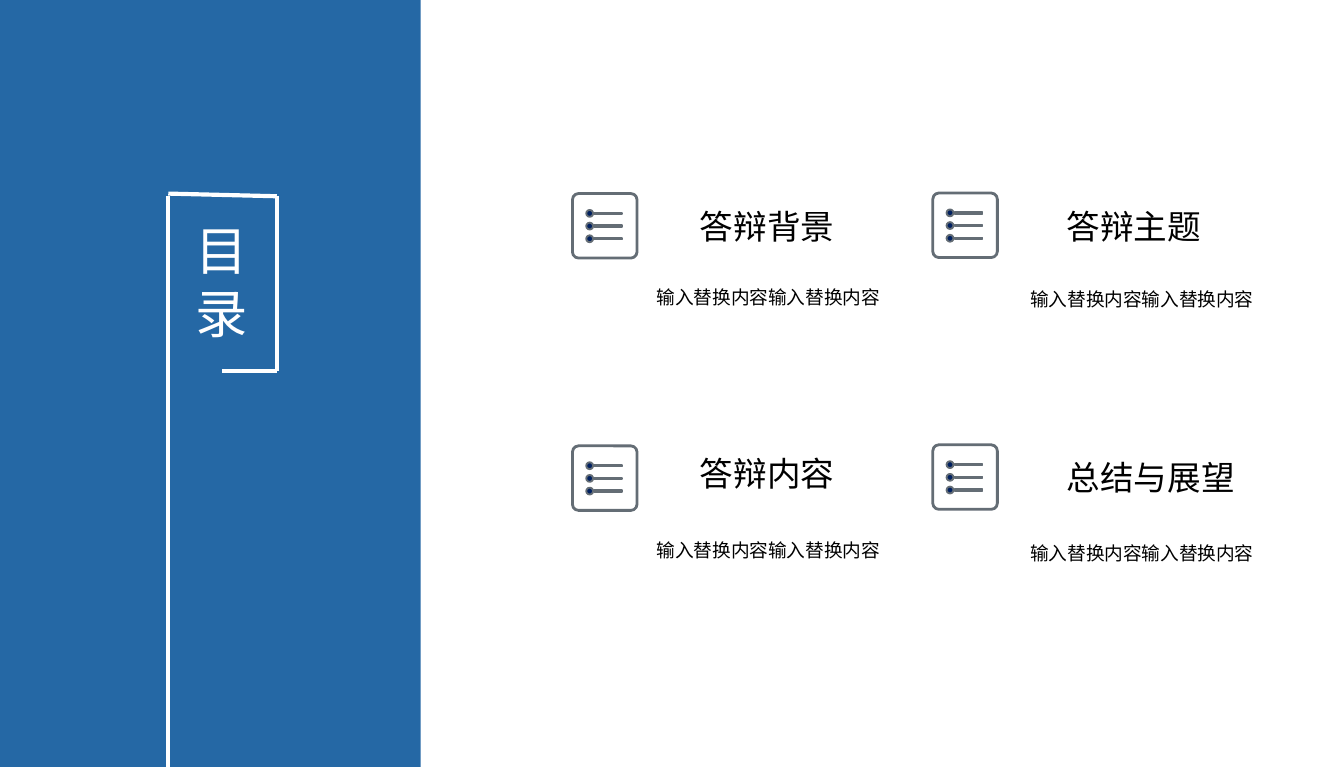
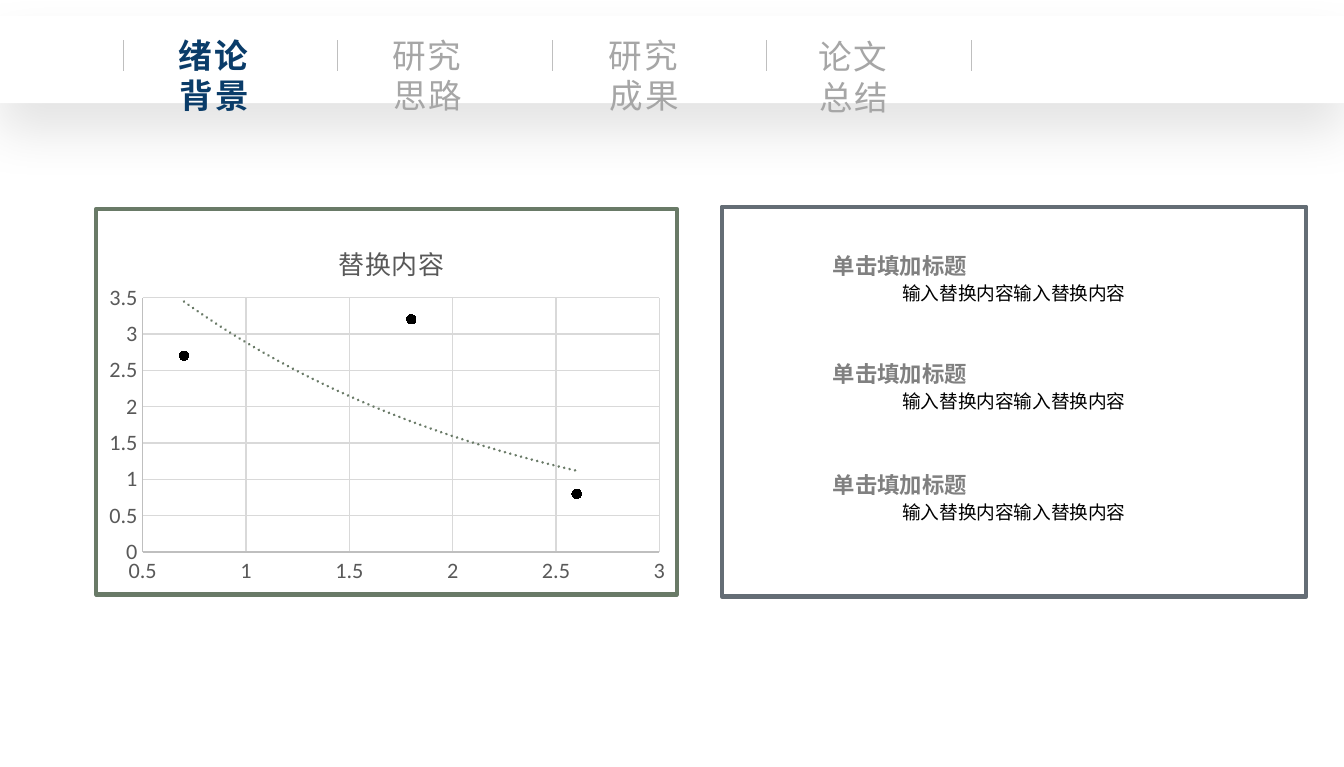
import pptx
import pptx.chart.data
import pptx.dml.color
import pptx.enum.chart
import pptx.enum.shapes
import pptx.enum.text
import pptx.oxml
import pptx.oxml.ns
import pptx.util
from lxml import etree

Cm = pptx.util.Cm
Pt = pptx.util.Pt
RGBColor = pptx.dml.color.RGBColor
SHAPE = pptx.enum.shapes.MSO_SHAPE
LEFT = pptx.enum.text.PP_ALIGN.LEFT
CENTER = pptx.enum.text.PP_ALIGN.CENTER
qn = pptx.oxml.ns.qn

WHITE = RGBColor(0xFF, 0xFF, 0xFF)
BLACK = RGBColor(0x00, 0x00, 0x00)
BLUE = RGBColor(0x25, 0x68, 0xA5)
NAVY = RGBColor(0x00, 0x20, 0x60)
ACTIVE = RGBColor(0x0A, 0x3C, 0x69)
SLATE = RGBColor(0x64, 0x6D, 0x75)
GREEN = RGBColor(0x69, 0x7A, 0x67)
INACTIVE = RGBColor(0xA6, 0xA6, 0xA6)
HEADING_GRAY = RGBColor(0x80, 0x80, 0x80)
AXIS_TEXT = RGBColor(0x59, 0x59, 0x59)
RULE_GRAY = RGBColor(0xBF, 0xBF, 0xBF)
GRID_GRAY = RGBColor(0xD9, 0xD9, 0xD9)
CJK_FONT = "Noto Sans CJK SC"
LATIN_FONT = "Calibri"
FILLER = "输入替换内容输入替换内容"


def add_text(shapes, text, left, top, width, height, size, color=BLACK,
             align=LEFT, bold=False, wrap=True, font=CJK_FONT):
    box = shapes.add_textbox(Cm(left), Cm(top), Cm(width), Cm(height))
    box.text_frame.word_wrap = wrap
    box.text_frame.text = text
    para = box.text_frame.paragraphs[0]
    para.alignment = align
    span = para.runs[0]
    span.font.size = Pt(size)
    span.font.bold = bold
    span.font.color.rgb = color
    span.font.name = font
    etree.SubElement(span._r.get_or_add_rPr(), qn("a:ea"), typeface=font)
    return box


def add_line(shapes, start, end, color, width):
    line = shapes.add_connector(
        pptx.enum.shapes.MSO_CONNECTOR.STRAIGHT,
        Cm(start[0]), Cm(start[1]), Cm(end[0]), Cm(end[1]))
    line.line.color.rgb = color
    line.line.width = Pt(width)
    etree.SubElement(line._element.spPr, qn("a:effectLst"))


deck = pptx.Presentation()
deck.slide_width = Cm(25.4)
deck.slide_height = Cm(14.5)
blank = deck.slide_layouts[6]

page = deck.slides.add_slide(blank)
panel = page.shapes.add_shape(SHAPE.RECTANGLE, 0, 0, Cm(7.95), Cm(14.5))
panel.shadow.inherit = False
panel.fill.solid()
panel.fill.fore_color.rgb = BLUE
panel.line.fill.background()

for start, end in [
    ((3.18, 14.5), (3.18, 3.71)),
    ((3.18, 3.66), (5.23, 3.71)),
    ((5.23, 3.71), (5.23, 7.01)),
    ((5.23, 7.01), (4.19, 7.01)),
]:
    add_line(page.shapes, start, end, WHITE, 2.25)
add_text(page.shapes, "目录", 3.45, 4.01, 1.37, 2.64, 28, WHITE)

topics = [
    ("答辩背景", 10.82, 3.66, 12.98, 3.76, 3.07, 11.79, 5.28),
    ("答辩主题", 17.63, 3.65, 19.91, 3.76, 3.07, 18.85, 5.31),
    ("答辩内容", 10.82, 8.43, 12.98, 8.43, 3.07, 11.79, 10.06),
    ("总结与展望", 17.63, 8.41, 19.91, 8.51, 3.71, 18.85, 10.11),
]
for topic, icon_left, icon_top, left, top, width, body_left, body_top in topics:
    icon = page.shapes.add_group_shape()
    outline = icon.shapes.add_shape(
        SHAPE.ROUNDED_RECTANGLE, Cm(icon_left), Cm(icon_top), Cm(1.22), Cm(1.22))
    outline.shadow.inherit = False
    outline.adjustments[0] = 0.095
    outline.fill.background()
    outline.line.color.rgb = SLATE
    outline.line.width = Pt(1.5)
    for row in range(3):
        for kind, x, y, mark_width, mark_height in [
            (SHAPE.OVAL, 0.26, 0.31, 0.13, 0.13),
            (SHAPE.RECTANGLE, 0.41, 0.36, 0.53, 0.03),
        ]:
            mark = icon.shapes.add_shape(
                kind, Cm(icon_left + x), Cm(icon_top + y + 0.24 * row),
                Cm(mark_width), Cm(mark_height))
            mark.shadow.inherit = False
            mark.fill.solid()
            mark.fill.fore_color.rgb = NAVY
            mark.line.color.rgb = SLATE
            mark.line.width = Pt(1)
    add_text(page.shapes, topic, left, top, width, 1.02, 18, wrap=False)
    add_text(page.shapes, FILLER, body_left, body_top, 5.46, 0.69, 10, align=CENTER)

page = deck.slides.add_slide(blank)
data = pptx.chart.data.XyChartData()
points = data.add_series("Series 1")
for x, y in [(0.7, 2.7), (1.8, 3.2), (2.6, 0.8)]:
    points.add_data_point(x, y)
chart = page.shapes.add_chart(
    pptx.enum.chart.XL_CHART_TYPE.XY_SCATTER,
    Cm(1.78), Cm(3.91), Cm(11.05), Cm(7.37), data).chart
chart.has_legend = False
chart.font.name = LATIN_FONT
chart.font.size = Pt(10)
chart.font.color.rgb = BLACK
chart.plots[0].vary_by_categories = False

chart.has_title = True
chart.chart_title.text_frame.text = "替换内容"
span = chart.chart_title.text_frame.paragraphs[0].runs[0]
span.font.size = Pt(14)
span.font.bold = False
span.font.color.rgb = AXIS_TEXT
span.font.name = CJK_FONT
etree.SubElement(span._r.get_or_add_rPr(), qn("a:ea"), typeface=CJK_FONT)

for axis, low, high in [(chart.category_axis, 0.5, 3), (chart.value_axis, 0, 3.5)]:
    axis.minimum_scale = low
    axis.maximum_scale = high
    axis.major_unit = 0.5
    axis.major_tick_mark = pptx.enum.chart.XL_TICK_MARK.NONE
    axis.minor_tick_mark = pptx.enum.chart.XL_TICK_MARK.NONE
    axis.tick_labels.font.size = Pt(12)
    axis.tick_labels.font.name = LATIN_FONT
    axis.tick_labels.font.color.rgb = AXIS_TEXT
    axis.tick_labels.number_format = "General"
    axis.tick_labels.number_format_is_linked = False
    axis.format.line.color.rgb = RULE_GRAY
    axis.format.line.width = Pt(0.75)
    axis.has_major_gridlines = True
    axis.major_gridlines.format.line.color.rgb = GRID_GRAY
    axis.major_gridlines.format.line.width = Pt(0.75)

series = chart.plots[0].series[0]
series.format.line.fill.background()
series.marker.style = pptx.enum.chart.XL_MARKER_STYLE.CIRCLE
series.marker.size = 5
series.marker.format.fill.solid()
series.marker.format.fill.fore_color.rgb = BLACK
series.marker.format.line.color.rgb = BLACK

namespaces = pptx.oxml.ns.nsdecls("c", "a")
trend = pptx.oxml.parse_xml(
    f'<c:trendline {namespaces}><c:spPr><a:ln w="{Pt(1.5)}" cap="rnd"><a:solidFill>'
    f'<a:srgbClr val="{GREEN}"/></a:solidFill><a:prstDash val="sysDot"/></a:ln></c:spPr>'
    '<c:trendlineType val="exp"/><c:dispRSqr val="0"/><c:dispEq val="0"/></c:trendline>')
series._element.find(qn("c:xVal")).addprevious(trend)
border = pptx.oxml.parse_xml(
    f'<c:spPr {namespaces}><a:noFill/><a:ln w="{Pt(2.25)}"><a:solidFill>'
    f'<a:srgbClr val="{GREEN}"/></a:solidFill><a:round/></a:ln></c:spPr>')
chart._chartSpace.find(qn("c:chart")).addnext(border)

plot_area = chart._chartSpace.find(".//" + qn("c:plotArea"))
title = chart._chartSpace.find(".//" + qn("c:title"))
for parent, settings in [
    (plot_area, [("layoutTarget", "inner"), ("xMode", "edge"), ("yMode", "edge"),
                 ("x", 0.08), ("y", 0.23), ("w", 0.89), ("h", 0.66)]),
    (title, [("xMode", "edge"), ("yMode", "edge"), ("x", 0.41), ("y", 0.07)]),
]:
    for old in parent.findall(qn("c:layout")):
        parent.remove(old)
    layout = etree.Element(qn("c:layout"))
    manual = etree.SubElement(layout, qn("c:manualLayout"))
    for name, value in settings:
        etree.SubElement(manual, qn("c:" + name), val=str(value))
    parent.insert(1 if parent is title else 0, layout)

frame = page.shapes.add_shape(
    SHAPE.RECTANGLE, Cm(13.64), Cm(3.91), Cm(11.05), Cm(7.37))
frame.shadow.inherit = False
frame.fill.background()
frame.line.color.rgb = SLATE
frame.line.width = Pt(2.25)

for top, body_height in [(4.67, 2.31), (6.71, 2.31), (8.81, 0.69)]:
    add_text(page.shapes, FILLER, 15.39, top + 0.53, 7.54, body_height, 10, align=CENTER)
    heading = add_text(page.shapes, "单击填加标题", 15.27, top, 3.48, 0.61, 12,
                       HEADING_GRAY, CENTER, bold=True)
    heading.text_frame.paragraphs[0].line_spacing = 1.2
    heading.text_frame.margin_left = heading.text_frame.margin_right = 0
    heading.text_frame.margin_top = heading.text_frame.margin_bottom = 0

navigation = page.shapes.add_group_shape()
bar = navigation.shapes.add_shape(SHAPE.RECTANGLE, 0, Cm(0.3), Cm(25.4), Cm(1.65))
bar.shadow.inherit = False
bar.fill.solid()
bar.fill.fore_color.rgb = WHITE
bar.line.fill.background()
bar._element.spPr.find(qn("a:effectLst")).append(pptx.oxml.parse_xml(
    f'<a:outerShdw {namespaces} blurRad="{Pt(28)}" dist="{Pt(15)}" dir="5400000" '
    'rotWithShape="0"><a:srgbClr val="000000"><a:alpha val="11000"/></a:srgbClr>'
    '</a:outerShdw>'))

for x in [2.34, 6.38, 10.44, 14.48, 18.36]:
    add_line(navigation.shapes, (x, 0.76), (x, 1.35), RULE_GRAY, 0.5)
for label, left, top, color in [
    ("绪论背景", 3.15, 0.53, ACTIVE),
    ("研究思路", 7.19, 0.53, INACTIVE),
    ("研究成果", 11.28, 0.53, INACTIVE),
    ("论文总结", 15.24, 0.56, INACTIVE),
]:
    tab = add_text(navigation.shapes, label, left, top, 2.41, 0.76, 18, color,
                   CENTER, bold=color == ACTIVE, font=LATIN_FONT)
    tab.text_frame.margin_left = 0
    tab.text_frame.margin_right = Cm(0.61)
    tab.text_frame.paragraphs[0].runs[0]._r.get_or_add_rPr().set("spc", "100")

deck.save("out.pptx")
